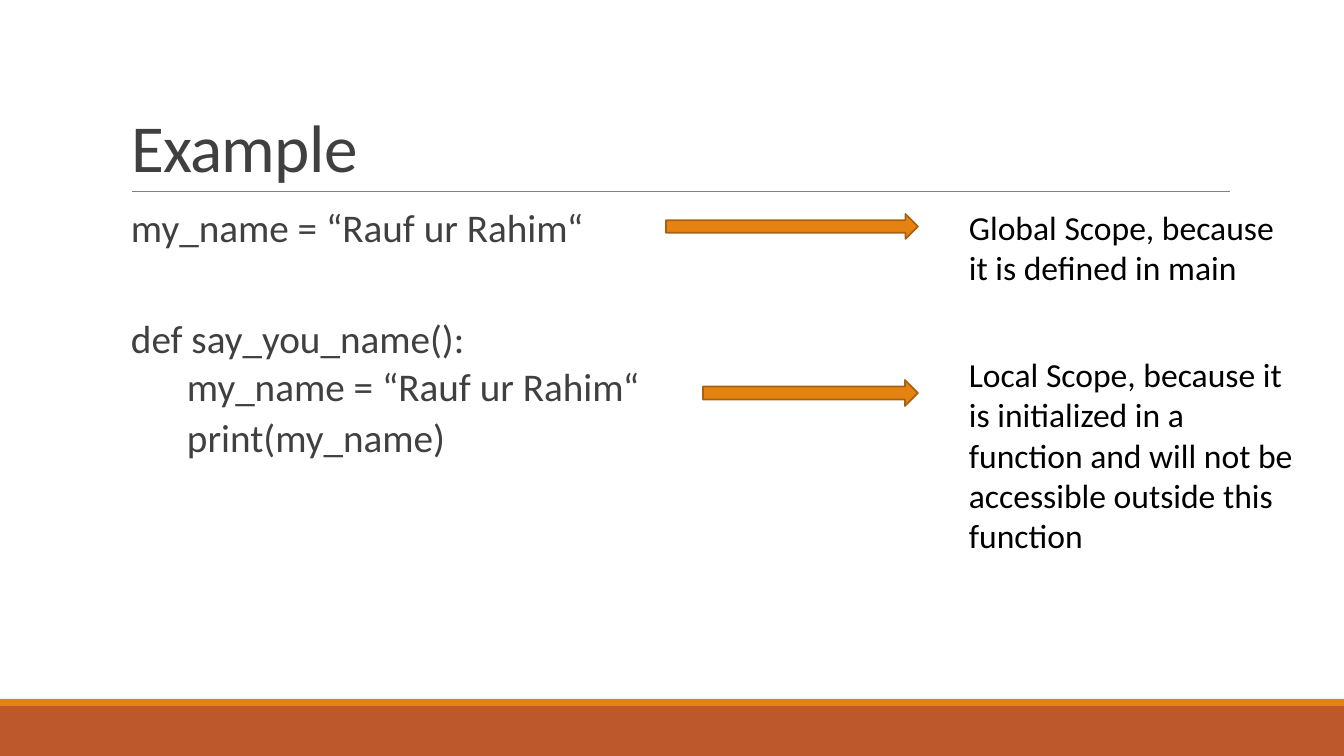
from pptx import Presentation
from pptx.dml.color import RGBColor
from pptx.enum.shapes import MSO_CONNECTOR, MSO_SHAPE
from pptx.enum.text import MSO_ANCHOR, MSO_AUTO_SIZE, PP_ALIGN
from pptx.oxml.ns import qn
from pptx.util import Pt

RECT = MSO_SHAPE.RECTANGLE
RIGHT_ARROW = MSO_SHAPE.RIGHT_ARROW
STRAIGHT = MSO_CONNECTOR.STRAIGHT
BOTTOM = MSO_ANCHOR.BOTTOM
TOP = MSO_ANCHOR.TOP
LEFT = PP_ALIGN.LEFT
NO_AUTOFIT = MSO_AUTO_SIZE.NONE

ORANGE = RGBColor(0xE4, 0x83, 0x12)
RUST = RGBColor(0xBD, 0x58, 0x2C)
BROWN = RGBColor(0xA9, 0x61, 0x0D)
GRAY = RGBColor(0x80, 0x80, 0x80)
DARK = RGBColor(0x40, 0x40, 0x40)
BLACK = RGBColor(0, 0, 0)

FONT = "Calibri"
SLIDE_W, SLIDE_H = 1344, 756
EMU_PER_PX = 12192000 / SLIDE_W

CODE = [
    ("my_name = “Rauf ur Rahim“", 10, 12, 2),
    ("def say_you_name():", 10, 47, 2),
    ("my_name = “Rauf ur Rahim“", 66, 2, 4),
    ("print(my_name)", 66, 2, 4),
]
NOTES = [
    ("Global Scope, because it is defined in main", 202, 92),
    ("Local Scope, because it is initialized in a function "
     "and will not be accessible outside this function", 349, 214),
]
ARROWS = [(666, 214, 252, 25), (703, 380, 215, 26)]


def px(n):
    return round(n * EMU_PER_PX)


def box(*lengths):
    return [px(n) for n in lengths]


def add_run(p, text, size, color):
    r = p.add_run()
    r.text = text
    r.font.name = FONT
    r.font.size = Pt(size)
    r.font.color.rgb = color
    return r


def add_block(slide, shape_type, bounds, fill, line=None):
    sp = slide.shapes.add_shape(shape_type, *box(*bounds))
    sp.shadow.inherit = False
    sp.fill.solid()
    sp.fill.fore_color.rgb = fill
    if line is None:
        sp.line.fill.background()
    else:
        sp.line.color.rgb = line
        sp.line.width = Pt(1.25)


def add_rule(slide, x1, x2, y):
    line = slide.shapes.add_connector(STRAIGHT, *box(x1, y, x2, y))
    line.line.color.rgb = GRAY
    line.line.width = Pt(0.5)
    sp_pr = line._element.spPr
    sp_pr.append(sp_pr.makeelement(qn("a:effectLst"), {}))


def set_title(slide, text):
    title = slide.shapes.title
    title.left, title.top, title.width, title.height = box(121, 31, 1109, 160)
    tf = title.text_frame
    tf.auto_size = NO_AUTOFIT
    tf.vertical_anchor = BOTTOM
    p = tf.paragraphs[0]
    p.alignment = LEFT
    p.line_spacing = 0.85
    r = add_run(p, text, 48, DARK)
    r.font._element.set("spc", "-50")


def add_text_box(slide, bounds):
    tf = slide.shapes.add_textbox(*box(*bounds)).text_frame
    tf.word_wrap = True
    tf.vertical_anchor = TOP
    return tf


def add_code(slide, lines):
    tf = add_text_box(slide, (121, 204, 1109, 444))
    tf.margin_left = tf.margin_right = 0
    for i, (text, indent, before, after) in enumerate(lines):
        p = tf.add_paragraph() if i else tf.paragraphs[0]
        p.line_spacing = 0.9
        p.space_before = Pt(before)
        p.space_after = Pt(after)
        p._p.get_or_add_pPr().set("marL", str(px(indent)))
        add_run(p, text, 28, DARK)


def add_note(slide, text, top, height):
    tf = add_text_box(slide, (959, top, 350, height))
    add_run(tf.paragraphs[0], text, 24, BLACK)


def main():
    prs = Presentation()
    prs.slide_width, prs.slide_height = box(SLIDE_W, SLIDE_H)
    slide = prs.slides.add_slide(prs.slide_layouts[5])
    add_block(slide, RECT, (0, 706, SLIDE_W, 50), RUST)
    add_block(slide, RECT, (0, 699, SLIDE_W, 7), ORANGE)
    add_rule(slide, 132, 1230, 191)
    set_title(slide, "Example")
    add_code(slide, CODE)
    for note in NOTES:
        add_note(slide, *note)
    for bounds in ARROWS:
        add_block(slide, RIGHT_ARROW, bounds, ORANGE, BROWN)
    prs.save("out.pptx")


if __name__ == "__main__":
    main()
